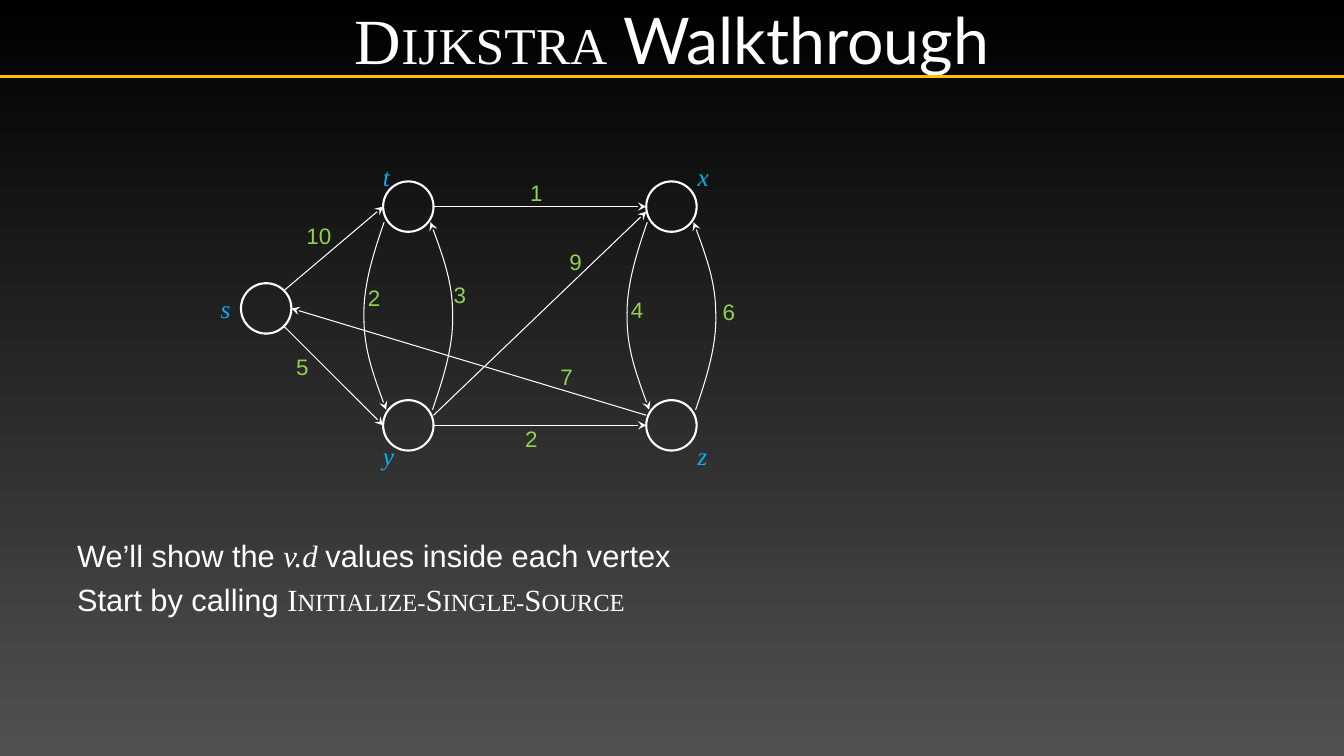
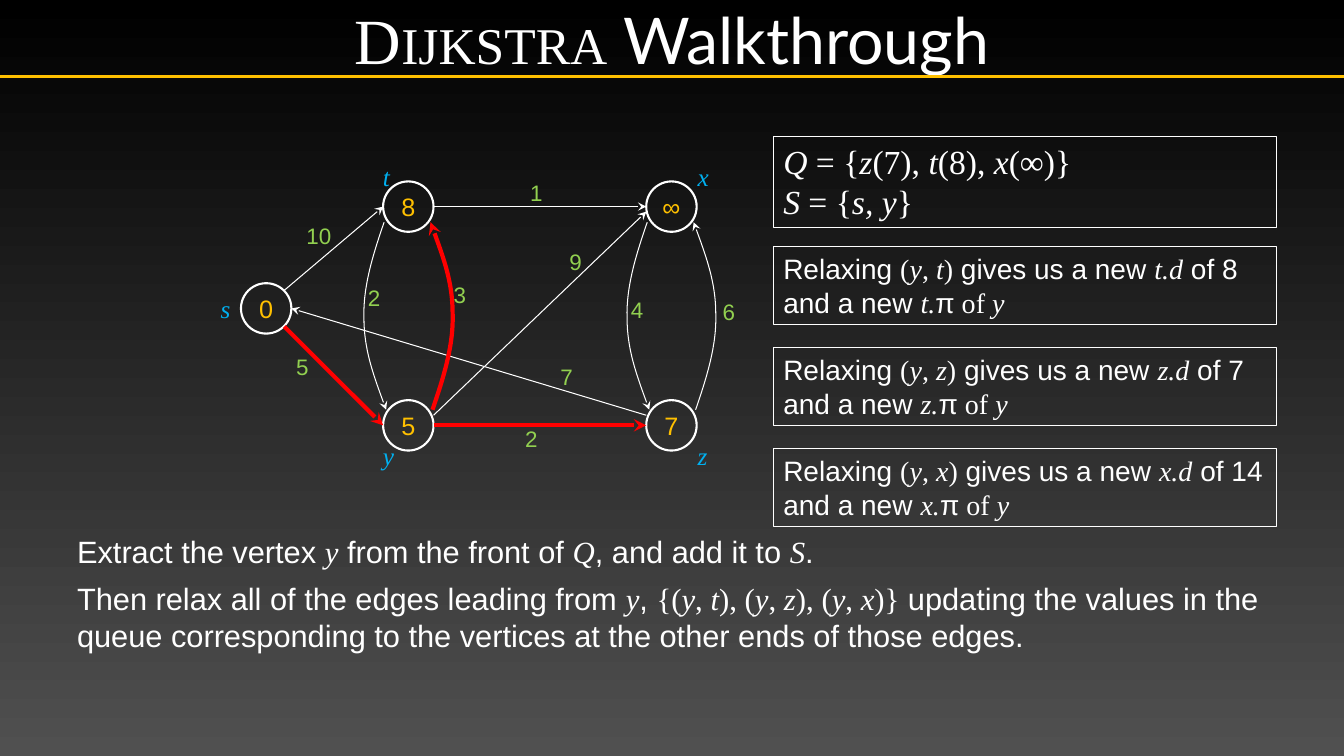
from dataclasses import dataclass
from typing import NamedTuple

from lxml import etree
from pptx import Presentation
from pptx.dml.color import RGBColor
from pptx.enum.shapes import MSO_CONNECTOR, MSO_SHAPE
from pptx.enum.text import MSO_ANCHOR, MSO_AUTO_SIZE, PP_ALIGN
from pptx.oxml.ns import qn
from pptx.util import Inches, Pt

OVAL, RECT = MSO_SHAPE.OVAL, MSO_SHAPE.RECTANGLE
STRAIGHT = MSO_CONNECTOR.STRAIGHT
TOP, MIDDLE = MSO_ANCHOR.TOP, MSO_ANCHOR.MIDDLE
LEFT, CENTER = PP_ALIGN.LEFT, PP_ALIGN.CENTER
NO_FIT = MSO_AUTO_SIZE.NONE


@dataclass(frozen=True)
class Theme:
    white: str = "FFFFFF"
    gold: str = "FFC000"
    red: str = "FF0000"
    blue: str = "00B0F0"
    green: str = "92D050"
    shade: tuple = ("000000", "505050")
    sans: str = "Arial"
    serif: str = "Times New Roman"
    head: str = "Lato"
    title: int = 46
    queue: int = 24
    body: int = 22
    card: int = 20
    name: int = 18
    cost: int = 16
    thin: float = 0.75
    ring: float = 1.5
    rule: float = 2.5
    bold: float = 3


class Node(NamedTuple):
    col: int
    row: int
    shift: tuple  # name box from the node's centre, in inches


class Edge(NamedTuple):
    ends: str
    cost: str
    spot: tuple  # top left of the cost box, in inches
    ports: tuple = ()  # both ends from the node centres, in radii; none: curved


THEME = Theme()
WIDE, HIGH = 13.33, 7.5
BAND = 0.76
MARGIN = WIDE * 0.05
COLS, ROWS = (2.64, 4.05, 6.66), (2.05, 3.06, 4.22)
RADIUS = 0.25
DIAG = 0.72
# Bezier points of a downward edge, from the middle of its column
BOW = ((-0.24, -0.93), (-0.35, -0.61), (-0.45, -0.29), (-0.44, 0.02),
       (-0.44, 0.33), (-0.33, 0.63), (-0.22, 0.93))

NODES = {
    "x": Node(2, 0, (0.16, -0.5)),
    "z": Node(2, 2, (0.16, 0.1)),
    "t": Node(1, 0, (-0.35, -0.5)),
    "y": Node(1, 2, (-0.35, 0.1)),
    "s": Node(0, 1, (-0.55, -0.2)),
}
EDGES = (
    Edge("st", "10", (2.94, 2.15), ((DIAG, -DIAG), (-1, 0))),
    Edge("tx", "1", (5.16, 1.73), ((1, 0), (-1, 0))),
    Edge("sy", "5", (2.84, 3.45), ((DIAG, DIAG), (-1, 0))),
    Edge("yx", "9", (5.55, 2.41), ((1, -0.4), (-1, 0.2))),
    Edge("yz", "2", (5.11, 4.17), ((1, 0), (-1, 0))),
    Edge("zs", "7", (5.46, 3.55), ((-1, -0.4), (1, 0))),
    Edge("zx", "6", (7.07, 2.91)),
    Edge("xz", "4", (6.16, 2.89)),
    Edge("yt", "3", (4.4, 2.74)),
    Edge("ty", "2", (3.55, 2.77)),
)


def parse(text: str) -> list:
    """Split into (piece, marks): | serif, _ italic serif, ~ small caps serif."""
    parts, marks, piece = [], set(), ""
    for char in text:
        if char in "|_~":
            parts.append((piece, set(marks)))
            marks ^= {char}
            piece = ""
        else:
            piece += char
    parts.append((piece, marks))
    return [part for part in parts if part[0]]


def write(frame, text: str, *, size: int, color: str = THEME.white,
          font: str = THEME.sans, align=LEFT, anchor=TOP, gap: float = 0) -> None:
    """Fill a frame, one paragraph per line of the text."""
    frame.word_wrap = True
    frame.vertical_anchor = anchor
    for index, line in enumerate(text.split("\n")):
        para = frame.add_paragraph() if index else frame.paragraphs[0]
        para.alignment = align
        if index and gap:
            para.space_before = Pt(gap)
        for piece, marks in parse(line):
            run = para.add_run()
            run.text = piece
            run.font.name = THEME.serif if marks else font
            run.font.size = Pt(size)
            run.font.italic = "_" in marks
            run.font.color.rgb = RGBColor.from_string(color)
            if "~" in marks:
                run._r.get_or_add_rPr().set("cap", "small")


def label(slide, text: str, box: tuple, **style) -> None:
    write(slide.shapes.add_textbox(*map(Inches, box)).text_frame, text, **style)


def stroke(shape, color: str, width: float) -> None:
    shape.line.color.rgb = RGBColor.from_string(color)
    shape.line.width = Pt(width)


def outline(slide, kind, box: tuple, width: float):
    """A hollow white shape."""
    shape = slide.shapes.add_shape(kind, *map(Inches, box))
    shape.shadow.inherit = False
    shape.fill.background()
    stroke(shape, THEME.white, width)
    return shape


def line(slide, start: tuple, end: tuple, color: str, width: float):
    link = slide.shapes.add_connector(STRAIGHT, *map(Inches, start + end))
    stroke(link, color, width)
    etree.SubElement(link.element.spPr, qn("a:effectLst"))
    return link


def curve(slide, points: list, color: str, width: float):
    """An open path of cubic Bezier pieces."""
    spots = [(Inches(x), Inches(y)) for x, y in points]
    pen = slide.shapes.build_freeform(*spots[0])
    pen.add_line_segments(spots[1:], close=False)
    shape = pen.convert_to_shape()
    shape.shadow.inherit = False
    shape.fill.background()
    stroke(shape, color, width)
    # Turn each three straight pieces into one curved piece
    route = shape.element.xpath(".//a:path")[0]
    steps = route.findall(qn("a:lnTo"))
    for first in range(0, len(steps), 3):
        bend = etree.SubElement(route, qn("a:cubicBezTo"))
        for step in steps[first:first + 3]:
            bend.append(step[0])
            route.remove(step)
    return shape


def center(name: str) -> tuple:
    return COLS[NODES[name].col], ROWS[NODES[name].row]


def link(slide, edge: Edge, hot: bool) -> None:
    look = (THEME.red, THEME.bold) if hot else (THEME.white, THEME.thin)
    (ax, ay), (bx, by) = map(center, edge.ends)
    if edge.ports:
        (px, py), (qx, qy) = edge.ports
        shape = line(slide, (ax + px * RADIUS, ay + py * RADIUS),
                     (bx + qx * RADIUS, by + qy * RADIUS), *look)
    else:
        turn = 1 if ay < by else -1
        mid = (ay + by) / 2
        shape = curve(slide, [(ax + turn * x, mid + turn * y) for x, y in BOW], *look)
    stem = shape.element.xpath(".//a:ln")[0]
    etree.SubElement(stem, qn("a:tailEnd"), type="stealth")


def graph(slide, values: dict, hot: tuple) -> None:
    # Vertices
    for name in NODES:
        x, y = center(name)
        ring = outline(slide, OVAL, (x - RADIUS, y - RADIUS, 2 * RADIUS, 2 * RADIUS),
                       THEME.ring)
        if name in values:
            ring.text_frame.margin_left = ring.text_frame.margin_right = 0
            write(ring.text_frame, values[name], size=THEME.name, color=THEME.gold,
                  align=CENTER, anchor=MIDDLE)
    # Edges
    for edge in EDGES:
        link(slide, edge, edge.ends in hot)
    # Names and costs
    for name, node in NODES.items():
        x, y = center(name)
        label(slide, f"_{name}_", (x + node.shift[0], y + node.shift[1], 0.25, 0.4),
              size=THEME.name, color=THEME.blue)
    for edge in EDGES:
        label(slide, edge.cost, (*edge.spot, 0.1 + 0.2 * len(edge.cost), 0.37),
              size=THEME.cost, color=THEME.green)


def card(slide, text: str, top: float, high: float, size: int) -> None:
    box = outline(slide, RECT, (7.67, top, 4.99, high), THEME.thin)
    write(box.text_frame, text, size=size)


def setup(deck):
    """Set size, background and title place; return the layout."""
    deck.slide_width, deck.slide_height = Inches(WIDE), Inches(HIGH)
    fill = deck.slide_master.background.fill
    fill.gradient()
    fill.gradient_angle = 270
    for stop, color in zip(fill.gradient_stops, THEME.shade):
        stop.color.rgb = RGBColor.from_string(color)
    layout = deck.slide_layouts.get_by_name("Title Only")
    title = layout.placeholders[0]
    title.left, title.top = 0, 0
    title.width, title.height = Inches(WIDE), Inches(BAND)
    return layout


def page(deck, layout, values: dict, hot: tuple = ()):
    """A slide with title, rule and graph."""
    slide = deck.slides.add_slide(layout)
    frame = slide.shapes.title.text_frame
    frame.auto_size = NO_FIT
    frame.margin_left = frame.margin_right = Inches(0.05)
    frame.margin_top = frame.margin_bottom = Inches(0.05)
    write(frame, "~Dijkstra~ Walkthrough", size=THEME.title, font=THEME.head,
          align=CENTER, anchor=MIDDLE)
    line(slide, (0, BAND), (WIDE, BAND), THEME.gold, THEME.rule)
    graph(slide, values, hot)
    return slide


def main() -> None:
    deck = Presentation()
    layout = setup(deck)

    # Start
    slide = page(deck, layout, {})
    notes = ("We’ll show the _v.d _values inside each vertex",
             "Start by calling ~Initialize-Single-Source~")
    for index, text in enumerate(notes):
        label(slide, text, (MARGIN, 5.28 + 0.43 * index, WIDE * 0.775, 0.47),
              size=THEME.body)

    # Relaxing the edges from y
    slide = page(deck, layout, {"s": "0", "t": "8", "x": "∞", "y": "5", "z": "7"},
                 ("sy", "yt", "yz"))
    label(slide,
          "Extract the vertex _y_ from the front of _Q_, and add it to _S_.\n"
          "Then relax all of the edges leading from _y_, "
          "|{(_y_, _t_), (_y_, _z_), (_y_, _x_)}| updating the values in the queue "
          "corresponding to the vertices at the other ends of those edges.",
          (MARGIN, 5.24, WIDE * 0.9, 1.31), size=THEME.body, gap=7.2)
    card(slide, "|_Q _= {_z_(7), _t_(8), _x_(∞)}|\n|_S_ = {_s, y_}|",
         1.35, 0.91, THEME.queue)
    for index, (name, cost) in enumerate((("t", 8), ("z", 7), ("x", 14))):
        card(slide,
             f"Relaxing |(_y_, _{name}_)| gives us a new _{name}.d_ of {cost} "
             f"and a new _{name}._π| of _y_|",
             2.45 + index, 0.77, THEME.card)

    deck.save("out.pptx")


if __name__ == "__main__":
    main()
